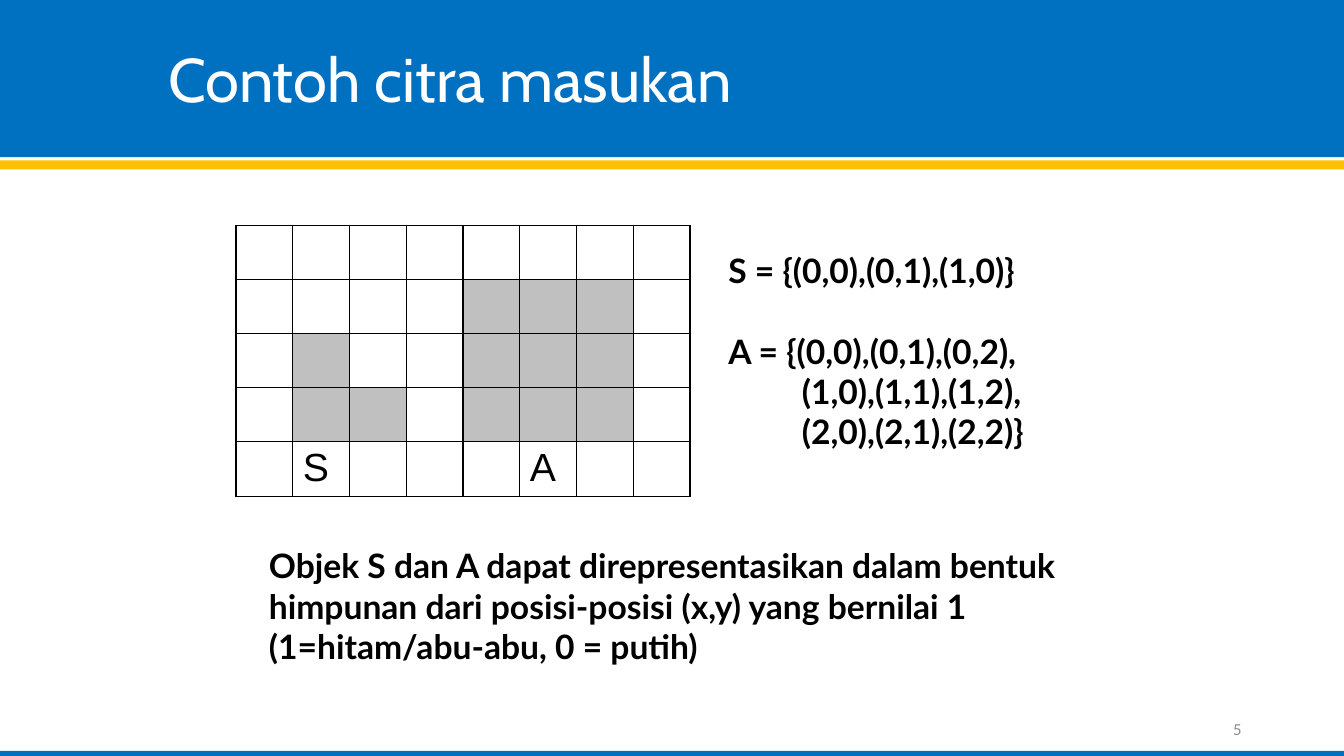
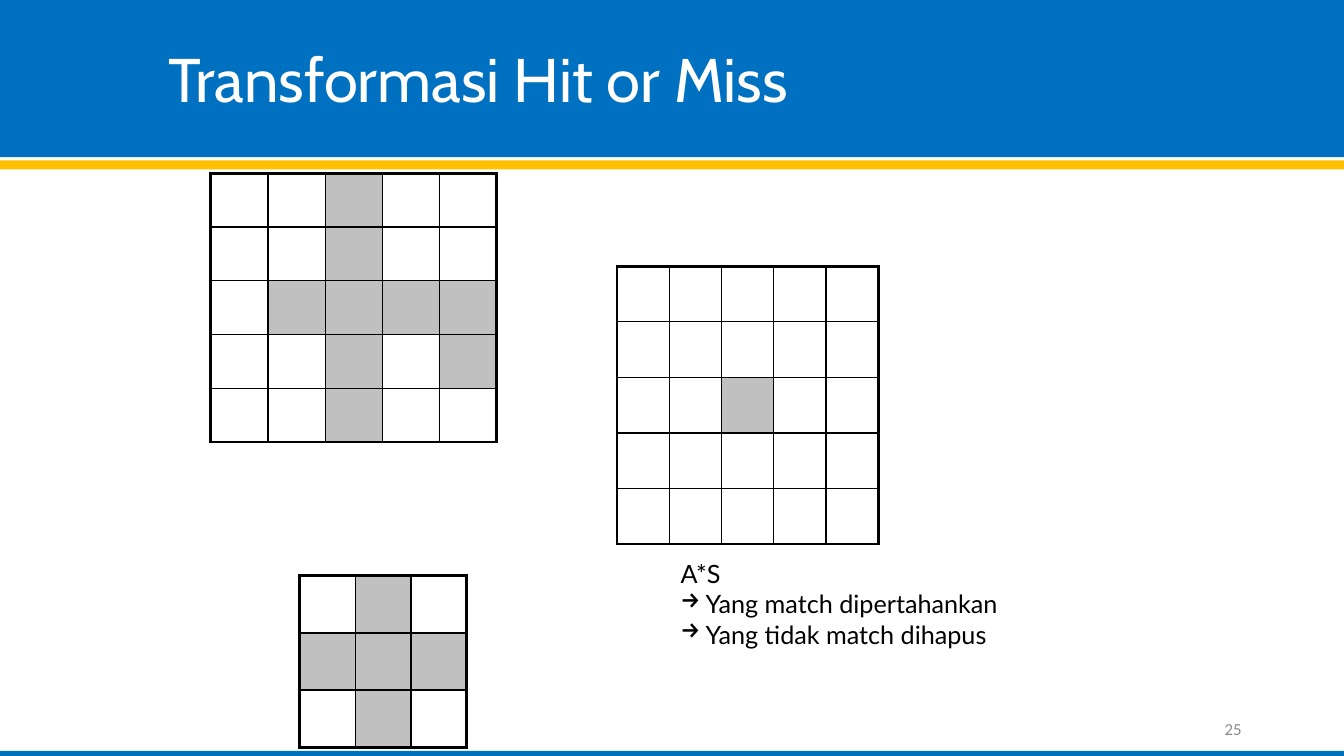
from dataclasses import dataclass

from lxml import etree
from pptx import Presentation
from pptx.dml.color import RGBColor
from pptx.enum.shapes import MSO_SHAPE
from pptx.enum.text import MSO_ANCHOR, PP_ALIGN
from pptx.oxml.ns import qn
from pptx.util import Pt

RECTANGLE = MSO_SHAPE.RECTANGLE
TOP, MIDDLE = MSO_ANCHOR.TOP, MSO_ANCHOR.MIDDLE
LEFT, RIGHT = PP_ALIGN.LEFT, PP_ALIGN.RIGHT

BLUE, GOLD, WHITE = "0070C0", "FFC000", "FFFFFF"
BLACK, GRAY, NUMBER_GRAY = "000000", "C0C0C0", "8C8C8C"
TITLE_FONT, BODY_FONT, CELL_FONT, NUMBER_FONT = "Cabin", "Lato", "Arial", "Calibri"
SLIDE_WIDTH, SLIDE_HEIGHT = 960, 540
INNER_LINE, THICK_LINE = 1, 2.25


@dataclass(frozen=True)
class Box:
    left: float
    top: float
    width: float
    height: float

    def lengths(self):
        return Pt(self.left), Pt(self.top), Pt(self.width), Pt(self.height)


@dataclass(frozen=True)
class Style:
    font: str
    size: float
    color: str = BLACK
    bold: bool = False
    align: PP_ALIGN = LEFT
    anchor: MSO_ANCHOR = TOP
    spacing: float = 1.0


@dataclass(frozen=True)
class Line:
    text: str
    indent: float = 0
    space_before: float = 0
    bullet: str = ""


@dataclass(frozen=True)
class PixelGrid:
    left: float
    top: float
    cell_width: float
    cell_height: float
    rows: tuple[str, ...]
    outline: float = THICK_LINE


@dataclass(frozen=True)
class Passage:
    box: Box
    style: Style
    lines: tuple[Line, ...]


@dataclass(frozen=True)
class Page:
    title: str
    number: str
    grids: tuple[PixelGrid, ...]
    passages: tuple[Passage, ...]


BANDS = (
    (Box(0, 0, SLIDE_WIDTH, 112.3), BLUE),
    (Box(0, 114.5, SLIDE_WIDTH, 6.5), GOLD),
    (Box(0, 536.4, SLIDE_WIDTH, 3.6), BLUE),
)
TITLE_BOX = Box(113, 13, 811, 92)
NUMBER_BOX = Box(678, 506, 216, 29)
TITLE_STYLE = Style(TITLE_FONT, 44, WHITE, anchor=MIDDLE, spacing=0.9)
NUMBER_STYLE = Style(NUMBER_FONT, 12, NUMBER_GRAY, align=RIGHT, anchor=MIDDLE)
STRONG_STYLE = Style(BODY_FONT, 24, bold=True)
NOTE_STYLE = Style(BODY_FONT, 18)
CELL_STYLE = Style(CELL_FONT, 28)

PAGES = (
    Page(
        "Contoh citra masukan",
        "5",
        (
            PixelGrid(168.6, 161, 40.55, 38.6, (
                "........",
                "....###.",
                ".#..###.",
                ".##.###.",
                ".S...A..",
            ), INNER_LINE),
        ),
        (
            Passage(Box(513.2, 175, 297.4, 181.5), STRONG_STYLE, (
                Line("S = {(0,0),(0,1),(1,0)}"),
                Line("A = {(0,0),(0,1),(0,2),", space_before=28.8),
                Line("(1,0),(1,1),(1,2),", indent=52.5),
                Line("(2,0),(2,1),(2,2)}", indent=52.5),
            )),
            Passage(Box(185, 386, 595.4, 94.3), STRONG_STYLE, (
                Line("Objek S dan A dapat direpresentasikan dalam bentuk "
                     "himpunan dari posisi-posisi (x,y) yang bernilai 1 "
                     "(1=hitam/abu-abu, 0 = putih)"),
            )),
        ),
    ),
    Page(
        "Transformasi Hit or Miss",
        "25",
        (
            PixelGrid(150.5, 123.8, 40.9, 38.4, (
                "..#..",
                "..#..",
                ".####",
                "..#.#",
                "..#..",
            )),
            PixelGrid(214, 411.3, 39.8, 40.8, (
                ".#.",
                "###",
                ".#.",
            )),
            PixelGrid(440.7, 190.2, 37.35, 39.7, (
                ".....",
                ".....",
                "..#..",
                ".....",
                ".....",
            )),
        ),
        (
            Passage(Box(479, 395.3, 325.4, 72), NOTE_STYLE, (
                Line("A*S"),
                Line("Yang match dipertahankan", indent=18, bullet="→"),
                Line("Yang tidak match dihapus", indent=18, bullet="→"),
            )),
        ),
    ),
)


def rgb(color: str) -> RGBColor:
    return RGBColor.from_string(color)


def write_line(paragraph, line: Line, style: Style) -> None:
    properties = paragraph._p.get_or_add_pPr()
    if line.indent:
        properties.set("marL", str(Pt(line.indent)))
    if line.bullet:
        properties.set("indent", str(-Pt(line.indent)))
        etree.SubElement(properties, qn("a:buChar"), char=line.bullet)
    paragraph.text = line.text
    paragraph.alignment = style.align
    paragraph.line_spacing = style.spacing
    if line.space_before:
        paragraph.space_before = Pt(line.space_before)
    font = paragraph.font
    font.name, font.size, font.bold = style.font, Pt(style.size), style.bold
    font.color.rgb = rgb(style.color)


def add_passage(slide, passage: Passage) -> None:
    frame = slide.shapes.add_textbox(*passage.box.lengths()).text_frame
    frame.word_wrap = True
    frame.vertical_anchor = passage.style.anchor
    for index, line in enumerate(passage.lines):
        paragraph = frame.add_paragraph() if index else frame.paragraphs[0]
        write_line(paragraph, line, passage.style)


def add_band(slide, box: Box, color: str) -> None:
    band = slide.shapes.add_shape(RECTANGLE, *box.lengths())
    band.shadow.inherit = False
    band.fill.solid()
    band.fill.fore_color.rgb = rgb(color)
    band.line.fill.background()


def set_borders(cell, widths: dict[str, float]) -> None:
    properties = cell._tc.get_or_add_tcPr()
    for side, width in widths.items():
        border = etree.SubElement(properties, qn(f"a:ln{side}"), w=str(Pt(width)))
        fill = etree.SubElement(border, qn("a:solidFill"))
        etree.SubElement(fill, qn("a:srgbClr"), val=BLACK)


def add_grid(slide, grid: PixelGrid) -> None:
    row_count, column_count = len(grid.rows), len(grid.rows[0])
    box = Box(grid.left, grid.top,
              grid.cell_width * column_count, grid.cell_height * row_count)
    table = slide.shapes.add_table(row_count, column_count, *box.lengths()).table
    table.first_row = table.horz_banding = False
    for column in table.columns:
        column.width = Pt(grid.cell_width)
    for r, marks in enumerate(grid.rows):
        table.rows[r].height = Pt(grid.cell_height)
        for c, mark in enumerate(marks):
            cell = table.cell(r, c)
            cell.margin_top = cell.margin_bottom = Pt(3)
            edges = {"L": c == 0, "R": c == column_count - 1,
                     "T": r == 0, "B": r == row_count - 1}
            set_borders(cell, {side: grid.outline if outer else INNER_LINE
                               for side, outer in edges.items()})
            if mark == "#":
                cell.fill.solid()
                cell.fill.fore_color.rgb = rgb(GRAY)
            else:
                cell.fill.background()
            if mark.isalpha():
                write_line(cell.text_frame.paragraphs[0], Line(mark), CELL_STYLE)


def add_page(presentation, page: Page) -> None:
    slide = presentation.slides.add_slide(presentation.slide_layouts[6])
    for box, color in BANDS:
        add_band(slide, box, color)
    add_passage(slide, Passage(TITLE_BOX, TITLE_STYLE, (Line(page.title),)))
    for grid in page.grids:
        add_grid(slide, grid)
    for passage in page.passages:
        add_passage(slide, passage)
    add_passage(slide, Passage(NUMBER_BOX, NUMBER_STYLE, (Line(page.number),)))


def main() -> None:
    presentation = Presentation()
    presentation.slide_width = Pt(SLIDE_WIDTH)
    presentation.slide_height = Pt(SLIDE_HEIGHT)
    for page in PAGES:
        add_page(presentation, page)
    presentation.save("out.pptx")


if __name__ == "__main__":
    main()
